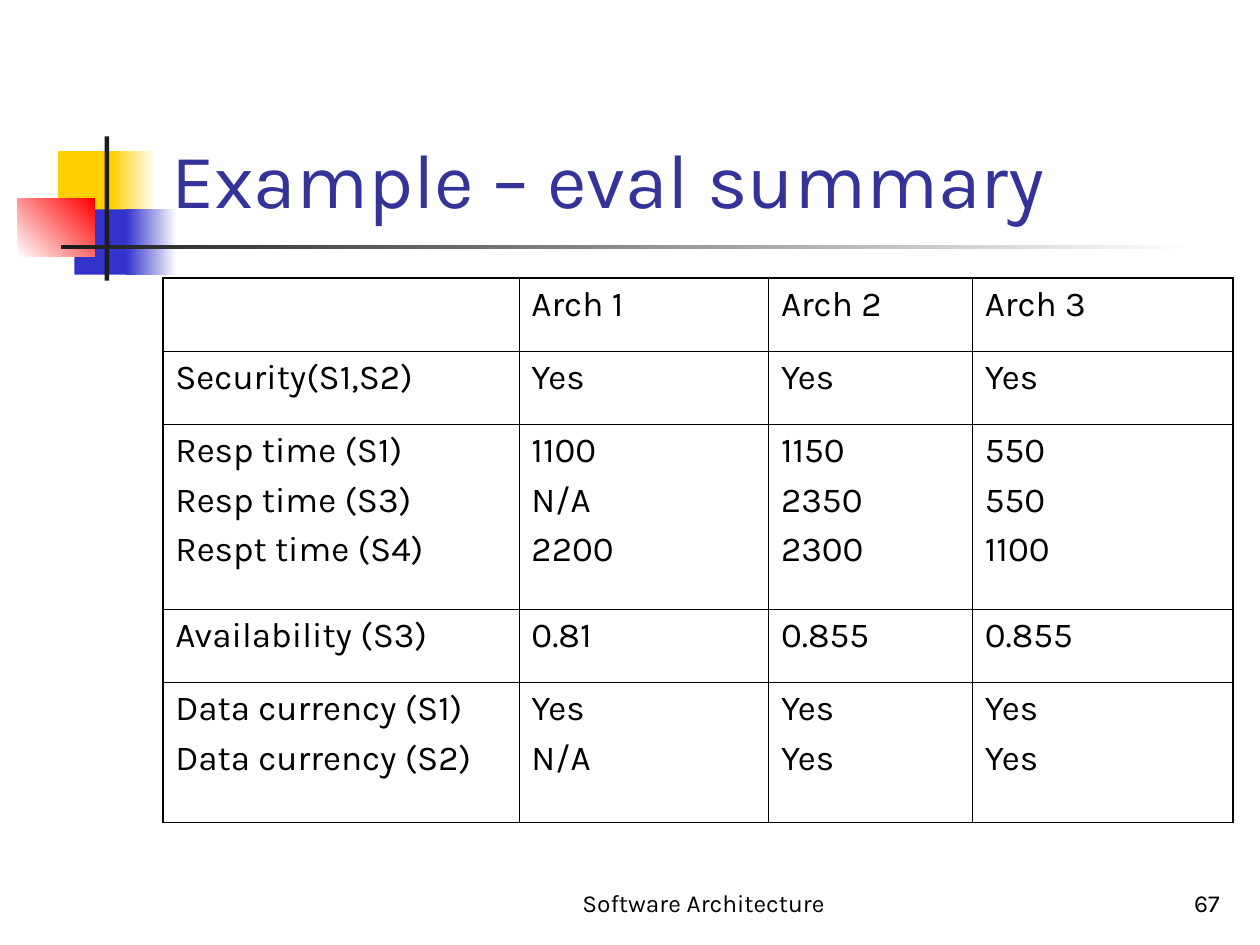
from pptx import Presentation
from pptx.dml.color import RGBColor
from pptx.enum.shapes import MSO_SHAPE
from pptx.enum.text import MSO_ANCHOR, MSO_AUTO_SIZE, PP_ALIGN
from pptx.oxml.ns import qn
from pptx.util import Cm, Pt
from lxml.etree import SubElement

FONT = "Karla"
BLACK = RGBColor(0x00, 0x00, 0x00)
WHITE = RGBColor(0xFF, 0xFF, 0xFF)
INK = RGBColor(0x1C, 0x1C, 0x1C)
GOLD = RGBColor(0xFF, 0xCF, 0x01)
BLUE = RGBColor(0x33, 0x33, 0xCC)
RED = RGBColor(0xFF, 0x00, 0x00)
NAVY = RGBColor(0x33, 0x33, 0x99)

# Content: one list per table row, one line per paragraph
TITLE = "Example – eval summary"
ROWS = [
    ["", "Arch 1", "Arch 2", "Arch 3"],
    ["Security(S1,S2)", "Yes", "Yes", "Yes"],
    ["Resp time (S1)\nResp time (S3)\nRespt time (S4)",
     "1100\nN/A\n2200", "1150\n2350\n2300", "550\n550\n1100"],
    ["Availability (S3)", "0.81", "0.855", "0.855"],
    ["Data currency (S1)\nData currency (S2)",
     "Yes\nN/A", "Yes\nYes", "Yes\nYes"],
]
WIDTHS = [7.18, 5.03, 4.11, 5.26]
HEIGHTS = [1.47, 1.47, 3.73, 1.47, 2.83]

# Ornament: left, top, width, height, colours, angle
BARS = [
    (1.17, 3.05, 1.22, 1.32, [GOLD], 0),
    (2.24, 3.05, 0.91, 1.32, [GOLD, WHITE], 0),
    (1.5, 4.22, 1.17, 1.32, [BLUE], 0),
    (2.54, 4.22, 1.02, 1.32, [BLUE, WHITE], 0),
    (0.36, 4.01, 1.55, 1.17, [WHITE, RED], 45),
    (2.11, 2.75, 0.09, 2.91, [INK], 0),
    (1.23, 4.94, 22.86, 0.09, [INK, WHITE], 0),
]
# Footers: text, left, width, alignment
FEET = [
    ("Software Architecture", 10.16, 8.05, PP_ALIGN.CENTER),
    ("67", 19.56, 5.28, PP_ALIGN.RIGHT),
]


def style(frame, size, color, align=PP_ALIGN.LEFT, gap=0):
    for i, para in enumerate(frame.paragraphs):
        para.alignment = align
        para.space_before = Pt(gap if i else 0)
        for run in para.runs:
            run.font.name = FONT
            run.font.size = Pt(size)
            run.font.color.rgb = color


def edge(cell, side, width):
    line = SubElement(cell._tc.get_or_add_tcPr(), qn("a:ln" + side),
                      w=str(int(Pt(width))))
    fill = SubElement(line, qn("a:solidFill"))
    SubElement(fill, qn("a:srgbClr"), val=str(BLACK))


deck = Presentation()
deck.slide_width, deck.slide_height = Cm(25.4), Cm(19.05)
slide = deck.slides.add_slide(deck.slide_layouts[5])
shapes = slide.shapes

# Ornament
for left, top, width, height, colors, angle in BARS:
    bar = shapes.add_shape(MSO_SHAPE.RECTANGLE, Cm(left), Cm(top),
                           Cm(width), Cm(height))
    bar.shadow.inherit = False
    bar.line.fill.background()
    if len(colors) == 1:
        bar.fill.solid()
        bar.fill.fore_color.rgb = colors[0]
    else:
        bar.fill.gradient()
        bar.fill.gradient_angle = angle
        for stop, color in zip(bar.fill.gradient_stops, colors):
            stop.color.rgb = color

# Footers
for text, left, width, align in FEET:
    box = shapes.add_textbox(Cm(left), Cm(17.35), Cm(width), Cm(1.27))
    frame = box.text_frame
    frame.word_wrap = True
    frame.vertical_anchor = MSO_ANCHOR.BOTTOM
    frame.text = text
    style(frame, 14, BLACK, align)

# Title, in front of the ornament
title = shapes.title
title.left, title.top = Cm(3.2), Cm(0.58)
title.width, title.height = Cm(21.64), Cm(4.06)
frame = title.text_frame
frame.text = TITLE
frame.auto_size = MSO_AUTO_SIZE.NONE
frame.vertical_anchor = MSO_ANCHOR.BOTTOM
style(frame, 44, NAVY)
shapes._spTree.append(title._element)

# Table with a heavier outer frame
table = shapes.add_table(len(ROWS), len(WIDTHS), Cm(3.28), Cm(5.61),
                         Cm(sum(WIDTHS)), Cm(sum(HEIGHTS))).table
table.first_row = table.horz_banding = False
for col, width in zip(table.columns, WIDTHS):
    col.width = Cm(width)
for row, height in zip(table.rows, HEIGHTS):
    row.height = Cm(height)
for r, row in enumerate(ROWS):
    for c, text in enumerate(row):
        cell = table.cell(r, c)
        cell.text_frame.text = text
        style(cell.text_frame, 20, BLACK, gap=5)
        outer = {"L": c == 0, "R": c == len(WIDTHS) - 1,
                 "T": r == 0, "B": r == len(ROWS) - 1}
        for side, heavy in outer.items():
            edge(cell, side, 1.08 if heavy else 0.45)
        cell.fill.background()

deck.save("out.pptx")
